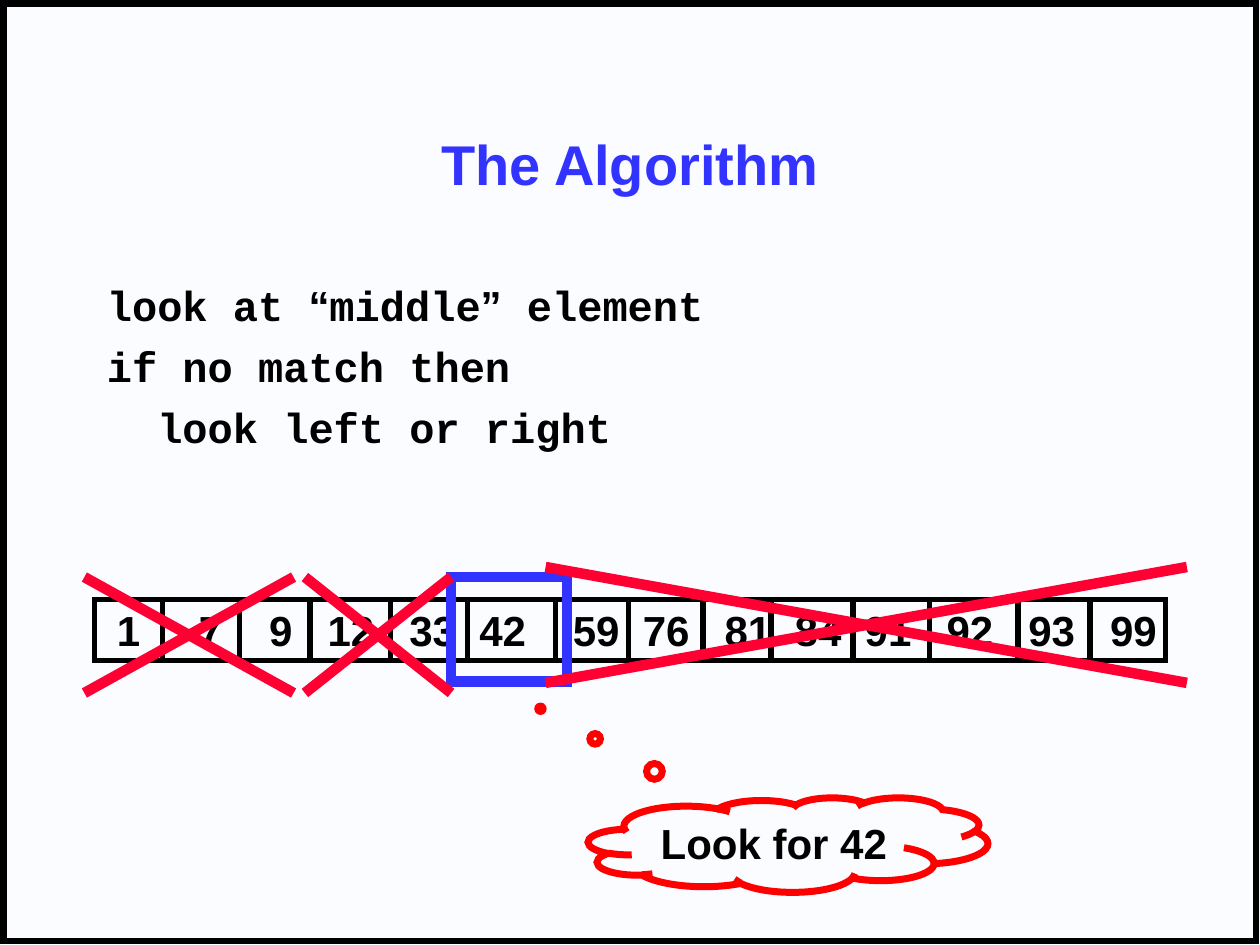
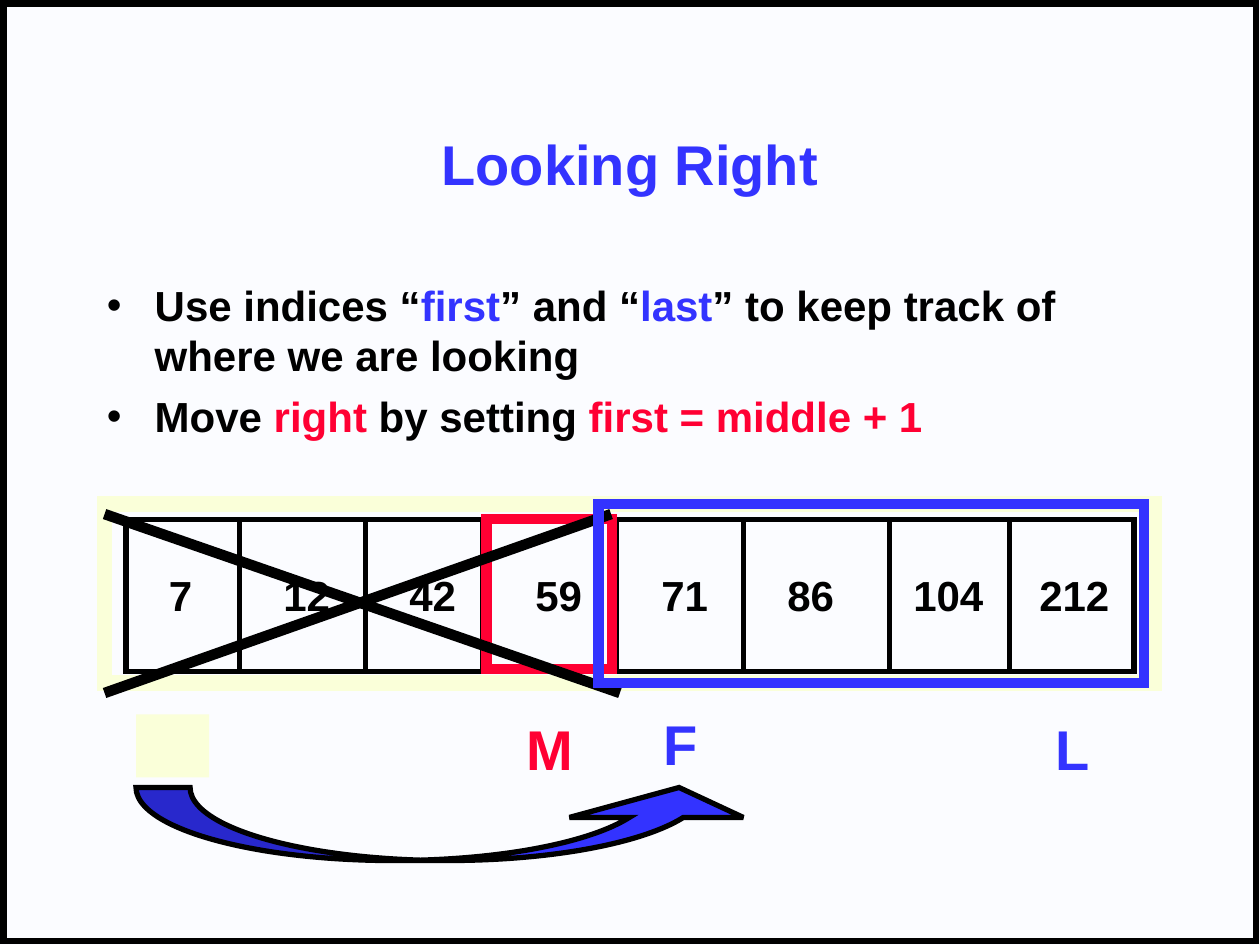
"""Two slides on binary search: the algorithm and looking right."""
from dataclasses import dataclass
from itertools import accumulate

from lxml import etree
from pptx import Presentation
from pptx import util as u
from pptx.dml.color import RGBColor
from pptx.enum import shapes, text
from pptx.oxml import ns


@dataclass(frozen=True)
class Theme:
    """Colours, fonts and type sizes shared by the slides."""
    paper: str = "FBFCFF"
    ink: str = "000000"
    blue: str = "3333FF"
    crimson: str = "FF0033"
    red: str = "FF0000"
    cream: str = "FAFFD9"
    sans: str = "Arial"
    mono: str = "Courier New"
    heading: int = 32
    body: int = 24
    cell_line: float = 3
    mark_line: float = 6


THEME = Theme()
RECT = shapes.MSO_SHAPE.RECTANGLE
HANG = 0.38
DIGIT, SPACE = 0.185, 0.093


def rgb(colour):
    """Turn a hex string into a colour."""
    return RGBColor.from_string(colour)


def style_run(run, colour=THEME.ink, size=THEME.body, face=THEME.sans):
    """Format one run in the bold style of the deck."""
    run.font.name, run.font.size, run.font.bold = face, u.Pt(size), True
    run.font.color.rgb = rgb(colour)


def add_outline(slide, left, top, width, height, colour, weight=THEME.mark_line, kind=RECT):
    """Add an unfilled shape with a sharp-cornered coloured outline."""
    outline = slide.shapes.add_shape(kind, *map(u.Inches, (left, top, width, height)))
    outline.shadow.inherit = False
    outline.fill.background()
    outline.line.color.rgb = rgb(colour)
    outline.line.width = u.Pt(weight)
    stroke = outline.element.spPr.find(ns.qn("a:ln"))
    etree.SubElement(stroke, ns.qn("a:miter"), lim="800000")
    return outline


def fill_shape(shape, colour):
    """Give a shape a solid fill."""
    shape.fill.solid()
    shape.fill.fore_color.rgb = rgb(colour)


def add_line(slide, start, end, colour, weight):
    """Add a straight line without a shadow."""
    line = slide.shapes.add_connector(
        shapes.MSO_CONNECTOR.STRAIGHT, *map(u.Inches, (*start, *end)))
    line.line.color.rgb = rgb(colour)
    line.line.width = u.Pt(weight)
    etree.SubElement(line.element.spPr, ns.qn("a:effectLst"))


def add_cross(slide, left, top, right, bottom, colour):
    """Strike out an area with two diagonals."""
    add_line(slide, (left, top), (right, bottom), colour, THEME.mark_line)
    add_line(slide, (right, top), (left, bottom), colour, THEME.mark_line)


def add_cells(slide, left, top, width, height, dividers):
    """Draw a row of array cells split at the divider positions."""
    add_outline(slide, left, top, width, height, THEME.ink, THEME.cell_line)
    for x in dividers:
        add_line(slide, (x, top), (x, top + height), THEME.ink, THEME.cell_line)


def add_textbox(slide, left, top, width, height):
    """Add a wrapping text box and return its frame."""
    frame = slide.shapes.add_textbox(*map(u.Inches, (left, top, width, height))).text_frame
    frame.word_wrap = True
    return frame


def add_label(slide, words, left, top, colour=THEME.ink, size=THEME.heading):
    """Add a short label in one line."""
    frame = add_textbox(slide, left, top, 0.9, 0.5)
    frame.text = words
    style_run(frame.paragraphs[0].runs[0], colour, size)


def add_values(slide, left, top, values, starts):
    """Write the array values in a row, each at its own start."""
    for value, start in zip(values, starts):
        add_label(slide, str(value), left + start, top, size=THEME.body)


def add_paragraph(frame, parts, margin=HANG, indent=-HANG, bullet=False):
    """Append a body paragraph made of (text, run style) parts."""
    first = frame.paragraphs[0]
    paragraph = frame.add_paragraph() if first.runs else first
    paragraph.space_before = u.Pt(6)
    properties = paragraph._p.get_or_add_pPr()
    properties.set("marL", str(u.Inches(margin)))
    properties.set("indent", str(u.Inches(indent)))
    if bullet:
        etree.SubElement(properties, ns.qn("a:buFont"), typeface=THEME.sans)
        etree.SubElement(properties, ns.qn("a:buChar"), char="•")
    for words, style in parts:
        run = paragraph.add_run()
        run.text = words
        style_run(run, **style)


def add_body(slide):
    """Add the body text area shared by the slides."""
    return add_textbox(slide, 0.75, 2.17, 8.5, 2.0)


def new_slide(deck, heading):
    """Add a framed slide with its title."""
    slide = deck.slides.add_slide(deck.slide_layouts[5])
    add_outline(slide, 0.03, 0.03, 9.94, 7.44, THEME.ink, 3.75)
    title = slide.shapes.title
    title.left, title.top, title.width, title.height = map(u.Inches, (0.75, 0.67, 8.5, 1.25))
    title.text_frame.text = heading
    title.text_frame.vertical_anchor = text.MSO_ANCHOR.MIDDLE
    line = title.text_frame.paragraphs[0]
    line.alignment = text.PP_ALIGN.CENTER
    style_run(line.runs[0], THEME.blue, THEME.heading)
    return slide


def add_thought(slide, words):
    """Add the thought cloud that points at the middle element."""
    cloud = add_outline(slide, 4.67, 6.33, 3.17, 0.75, THEME.red, 4,
                        shapes.MSO_SHAPE.CLOUD_CALLOUT)
    cloud.adjustments[0], cloud.adjustments[1] = -0.62, -1.44
    frame = cloud.text_frame
    frame.text = words
    frame.word_wrap = False
    frame.vertical_anchor = text.MSO_ANCHOR.MIDDLE
    frame.paragraphs[0].alignment = text.PP_ALIGN.CENTER
    style_run(frame.paragraphs[0].runs[0])


def build_algorithm(deck):
    """Build the slide that explains the algorithm."""
    slide = new_slide(deck, "The Algorithm")
    code, quote = {"face": THEME.mono}, {}
    body = add_body(slide)
    add_paragraph(body, [("look at ", code), ("“", quote), ("middle", code),
                         ("”", quote), (" element", code)])
    add_paragraph(body, [("if no match then", code)])
    add_paragraph(body, [("look left or right", code)], margin=0.4, indent=0)

    add_cells(slide, 0.75, 4.76, 4.83, 0.48, (1.29, 1.9, 2.46, 3.1, 3.71, 4.41, 4.99))
    add_cells(slide, 5.58, 4.76, 3.67, 0.48, (6.12, 6.77, 7.38, 8.08, 8.65))
    values = (1, 7, 9, 12, 33, 42, 59, 76, 81, 84, 91, 92, 93, 99)
    gaps = (5, 4, 3, 3, 2, 4, 2, 3, 2, 2, 3, 3, 3)
    steps = [len(str(value)) * DIGIT + gap * SPACE for value, gap in zip(values, gaps)]
    add_values(slide, 0.83, 4.75, values, accumulate(steps, initial=0))

    add_outline(slide, 3.58, 4.58, 0.92, 0.83, THEME.blue)
    for area in ((4.33, 4.5, 9.42, 5.42), (0.67, 4.58, 2.33, 5.5), (2.42, 4.58, 3.58, 5.5)):
        add_cross(slide, *area, THEME.crimson)
    add_thought(slide, "Look for 42")


def build_looking_right(deck):
    """Build the slide that moves the search to the right half."""
    slide = new_slide(deck, "Looking Right")
    plain, index, move = {}, {"colour": THEME.blue}, {"colour": THEME.crimson}
    body = add_body(slide)
    add_paragraph(body, [("Use indices “", plain), ("first", index), ("” and “", plain),
                         ("last", index),
                         ("” to keep track of where we are looking", plain)], bullet=True)
    add_paragraph(body, [("Move ", plain), ("right", move), (" by setting ", plain),
                         ("first = middle + 1", move)], bullet=True)

    add_cells(slide, 1, 4.12, 8, 1.21, (1.9, 2.9, 3.83, 4.89, 5.9, 7.06, 8.01))
    values = (7, 12, 42, 59, 71, 86, 104, 212)
    add_values(slide, 1.15, 4.47, values, [SPACE, *range(1, len(values))])
    add_outline(slide, 0.83, 4.02, 8.33, 1.42, THEME.blue)
    add_outline(slide, 3.86, 4.12, 1, 1.19, THEME.crimson)
    add_label(slide, "L", 8.28, 5.62, THEME.blue)
    add_label(slide, "M", 4.08, 5.62, THEME.crimson)

    jump = add_outline(slide, 1.08, 6.25, 5, 0.58, THEME.ink, THEME.cell_line,
                       shapes.MSO_SHAPE.CURVED_UP_ARROW)
    fill_shape(jump, THEME.blue)
    for position, amount in enumerate((0.74, 2.38, 0.41)):
        jump.adjustments[position] = amount
    add_label(slide, "F", 5.17, 5.58, THEME.blue)

    old_first = add_outline(slide, 1.08, 5.67, 0.58, 0.5, THEME.cream)
    fill_shape(old_first, THEME.cream)
    old_first.line.fill.background()
    add_outline(slide, 0.83, 4, 8.33, 1.42, THEME.cream, 9)
    add_line(slide, (4.85, 4.08), (0.83, 5.5), THEME.ink, THEME.mark_line)
    add_line(slide, (0.83, 4.08), (4.92, 5.5), THEME.ink, THEME.mark_line)
    add_outline(slide, 4.75, 4, 4.33, 1.42, THEME.blue)


def main():
    """Create the deck and save it."""
    deck = Presentation()
    deck.slide_width, deck.slide_height = u.Inches(10), u.Inches(7.5)
    paper = deck.slide_master.background.fill
    paper.solid()
    paper.fore_color.rgb = rgb(THEME.paper)
    build_algorithm(deck)
    build_looking_right(deck)
    deck.save("out.pptx")


if __name__ == "__main__":
    main()
